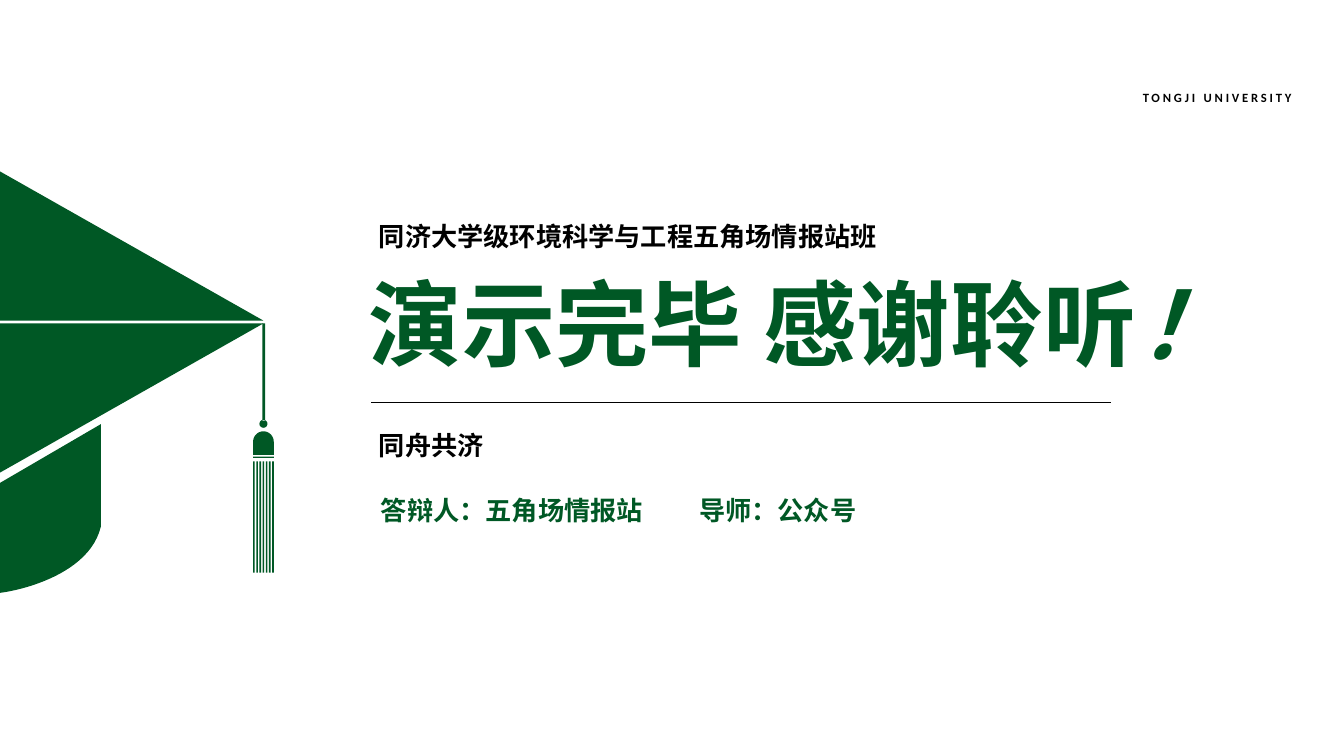
from math import cos, pi, sin

from lxml import etree
from pptx import Presentation
from pptx.dml.color import RGBColor
from pptx.enum.shapes import MSO_CONNECTOR
from pptx.enum.text import MSO_ANCHOR, MSO_AUTO_SIZE, PP_ALIGN
from pptx.oxml.ns import qn
from pptx.util import Cm, Pt

GREEN = RGBColor(0x00, 0x58, 0x25)
BLACK = RGBColor(0x00, 0x00, 0x00)
CJK = "Noto Sans CJK SC"
LEFT = PP_ALIGN.LEFT
JUSTIFY = PP_ALIGN.JUSTIFY
TOP = MSO_ANCHOR.TOP
NO_FIT = MSO_AUTO_SIZE.NONE
STRAIGHT = MSO_CONNECTOR.STRAIGHT

prs = Presentation()
prs.slide_width = Cm(33.87)
prs.slide_height = Cm(19.05)
slide = prs.slides.add_slide(prs.slide_layouts[5])


def add_text(text, x, y, w, h, sp=None, size=18.7, color=BLACK, font=CJK,
             align=LEFT, wrap=True, line_spacing=1.0, tracking=0, italic_tail=""):
    sp = sp or slide.shapes.add_textbox(0, 0, 0, 0)
    sp.left, sp.top, sp.width, sp.height = Cm(x), Cm(y), Cm(w), Cm(h)
    tf = sp.text_frame
    tf.word_wrap = wrap
    tf.auto_size = NO_FIT
    tf.vertical_anchor = TOP
    p = tf.paragraphs[0]
    p.alignment = align
    p.line_spacing = line_spacing
    p._p.get_or_add_pPr().set("hangingPunct", "1")
    for part, italic in ((text, False), (italic_tail, True)):
        if not part:
            continue
        r = p.add_run()
        r.text = part
        r.font.size = Pt(size)
        r.font.bold = True
        r.font.italic = italic
        r.font.color.rgb = color
        r.font.name = font
        rPr = r._r.get_or_add_rPr()
        etree.SubElement(rPr, qn("a:ea")).set("typeface", font)
        if tracking:
            rPr.set("spc", str(tracking * 100))


def add_outline(contours):
    start, *rest = [[(Cm(x), Cm(y)) for x, y in c] for c in contours]
    fb = slide.shapes.build_freeform(*start[0], scale=1.0)
    fb.add_line_segments(start[1:], close=True)
    for points in rest:
        fb.move_to(*points[0])
        fb.add_line_segments(points[1:], close=True)
    sp = fb.convert_to_shape()
    sp.shadow.inherit = False
    sp.fill.solid()
    sp.fill.fore_color.rgb = GREEN
    sp.line.fill.background()


add_text("演示完毕 感谢聆听", 9.04, 6.58, 21.62, 3.1, sp=slide.shapes.title,
         size=66.7, color=GREEN, italic_tail="！")
add_text("TONGJI UNIVERSITY", 28.55, 2.13, 4.88, 0.61, size=9,
         font="Calibri", align=JUSTIFY, tracking=2)
add_text("同济大学级环境科学与工程五角场情报站班", 9.3, 5.44, 13.28, 1.07)
add_text("同舟共济", 9.3, 10.31, 12.67, 1.32, line_spacing=1.5)
add_text("答辩人：五角场情报站", 9.35, 12.34, 7.14, 1.07, color=GREEN, wrap=False)
add_text("导师：公众号", 17.37, 12.34, 4.5, 1.07, color=GREEN, wrap=False)

rule = slide.shapes.add_connector(STRAIGHT, Cm(27.99), Cm(10.13), Cm(9.35), Cm(10.13))
rule.line.color.rgb = BLACK
rule.line.width = Pt(0.5)
etree.SubElement(rule._element.spPr, qn("a:effectLst"))

bezier = [(2.54, 13.28), (2.26, 14.43), (0.64, 14.86), (0, 14.94)]
cap_curve = []
for i in range(25):
    t = i / 24
    weights = ((1 - t) ** 3, 3 * t * (1 - t) ** 2, 3 * t ** 2 * (1 - t), t ** 3)
    cap_curve.append([sum(k * pt[axis] for k, pt in zip(weights, bezier))
                      for axis in (0, 1)])

add_outline([
    [(0, 4.32), (6.64, 8.08), (0, 8.08)],
    [(6.64, 8.15), (0, 11.91), (0, 8.15)],
    cap_curve + [(0, 12.17), (2.54, 10.69)],
])

mid, half = 6.64, 0.26
bars = [(mid - 0.03, 8.15, 0.07, 2.45), (mid - half, 11.51, 2 * half, 0.03)]
bars += [(mid - half + 0.08 * i, 11.63, 0.04, 2.8) for i in range(7)]
tassel = [[(x, y), (x + w, y), (x + w, y + h), (x, y + h)] for x, y, w, h in bars]
angles = [pi * i / 16 for i in range(32)]
tassel.append([(mid + 0.1 * cos(a), 10.68 + 0.1 * sin(a)) for a in angles])
dome = [(mid + half * cos(a), 11.13 - half * sin(a)) for a in angles[:17]]
tassel.append(dome + [(mid - half, 11.46), (mid + half, 11.46)])
add_outline(tassel)

prs.save("out.pptx")
